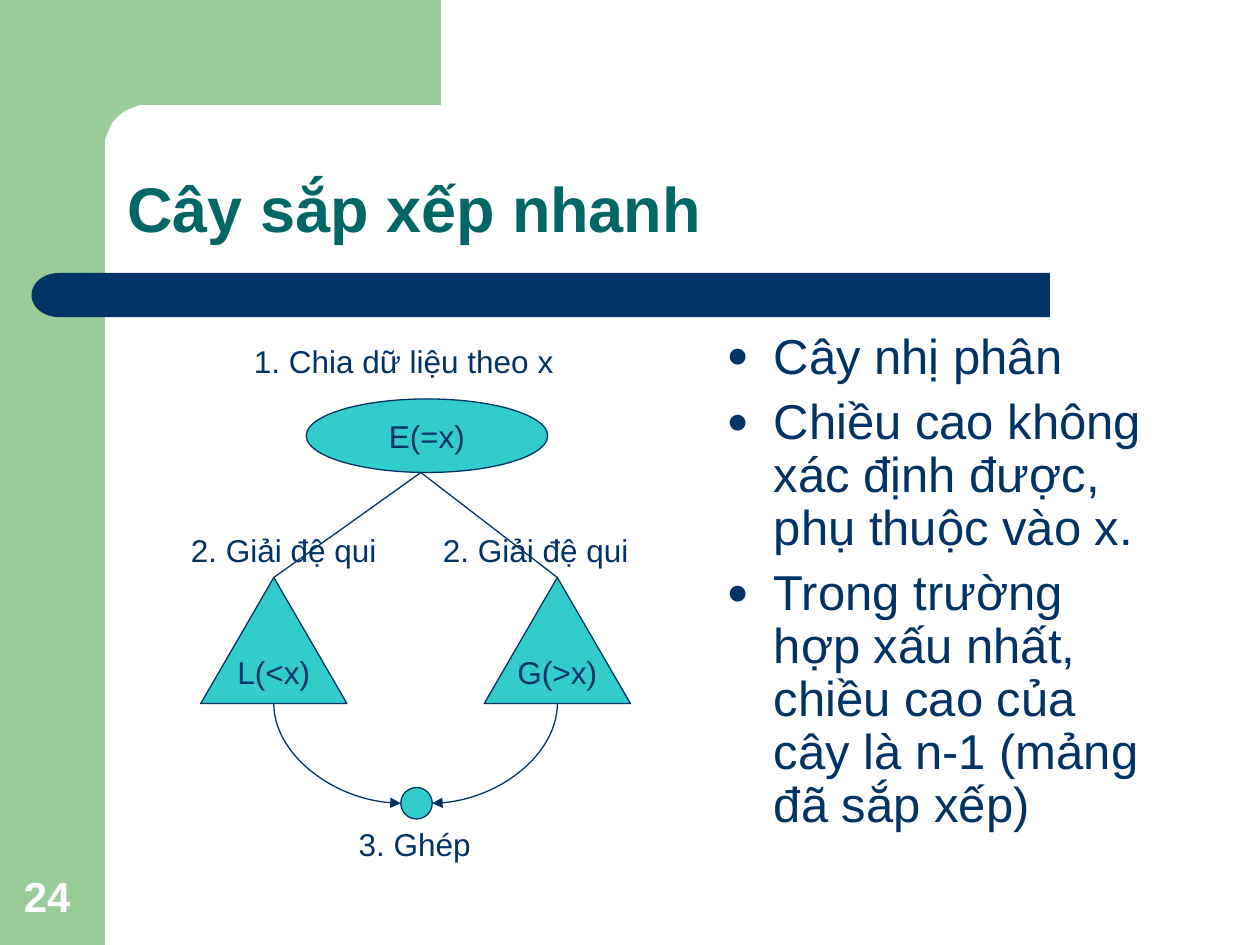
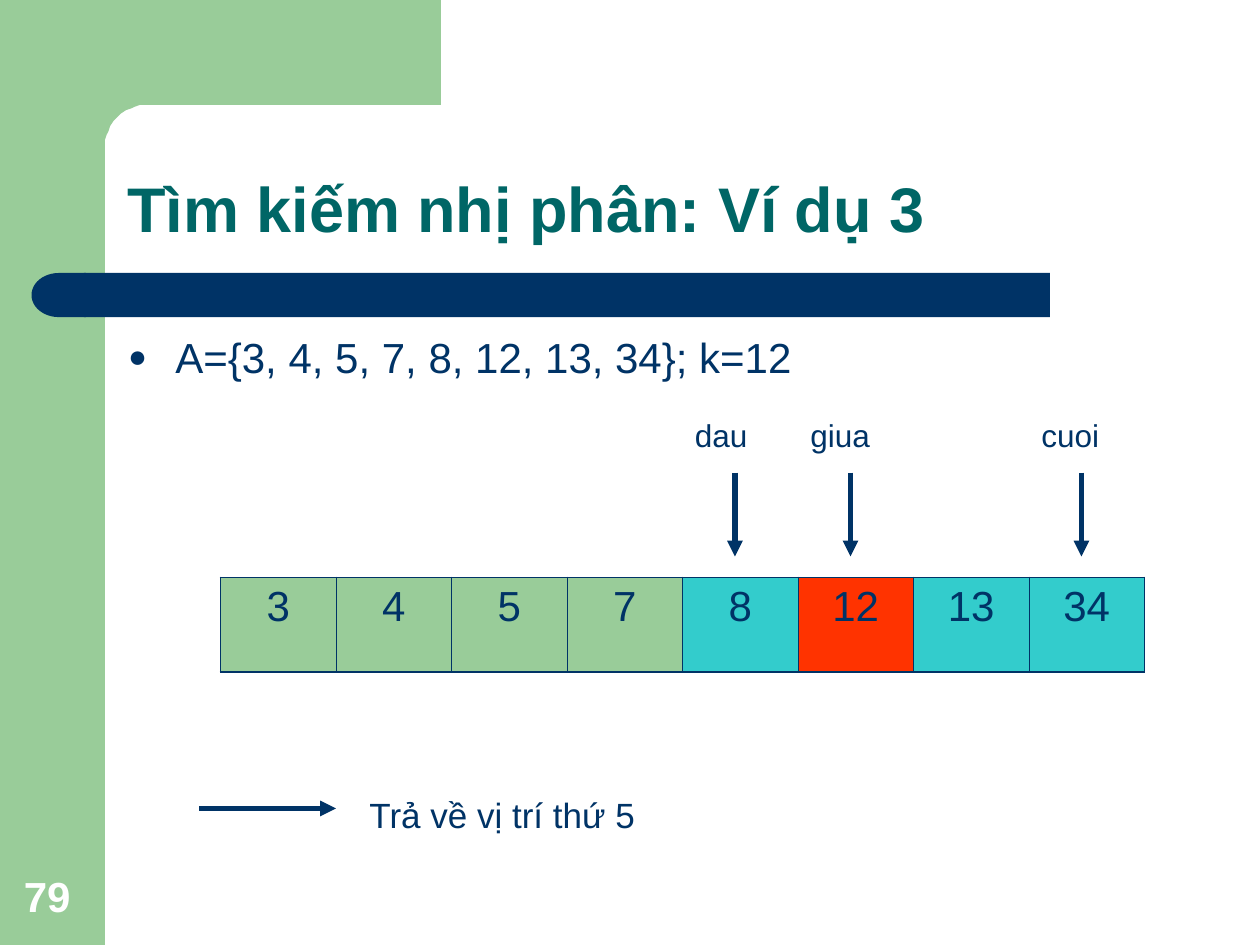
import dataclasses
import math

import lxml.etree
import pptx
import pptx.dml.color
import pptx.enum.shapes
import pptx.enum.text
import pptx.oxml.ns
import pptx.util

Pt = pptx.util.Pt
qn = pptx.oxml.ns.qn
FORM = pptx.enum.shapes.MSO_SHAPE
LINK = pptx.enum.shapes.MSO_CONNECTOR
ALIGN = pptx.enum.text.PP_ALIGN
ANCHOR = pptx.enum.text.MSO_ANCHOR


@dataclasses.dataclass(frozen=True)
class Theme:
    font: str = "Arial"
    navy: str = "003366"
    green: str = "99CC99"
    teal: str = "006666"
    aqua: str = "33CCCC"
    red: str = "FF3300"
    white: str = "FFFFFF"
    title: float = 36
    large: float = 28
    mid: float = 24
    note: float = 20
    small: float = 18
    thin: float = 0.75
    thick: float = 3
    edge: float = 1.08
    inner: float = 0.45


THEME = Theme()


def tint(name):
    return pptx.dml.color.RGBColor.from_string(name)


def write(para, text, size, color=THEME.navy, bold=False, align=ALIGN.LEFT):
    para.alignment = align
    run = para.add_run()
    run.text = text
    run.font.name = THEME.font
    run.font.size = Pt(size)
    run.font.bold = bold
    run.font.color.rgb = tint(color)


def place(shape, box):
    shape.left, shape.top, shape.width, shape.height = map(Pt, box)


def paint(shape, fill, edge=None):
    shape.shadow.inherit = False
    shape.fill.solid()
    shape.fill.fore_color.rgb = tint(fill)
    if edge:
        shape.line.color.rgb = tint(edge)
        shape.line.width = Pt(THEME.thin)
    else:
        shape.line.fill.background()


def block(slide, form, box, fill, edge=None):
    shape = slide.shapes.add_shape(form, *map(Pt, box))
    paint(shape, fill, edge)
    return shape


def node(slide, form, box, text=""):
    shape = block(slide, form, box, THEME.aqua, THEME.navy)
    if text:
        frame = shape.text_frame
        frame.word_wrap = False
        frame.vertical_anchor = ANCHOR.MIDDLE
        write(frame.paragraphs[0], text, THEME.small, align=ALIGN.CENTER)
    return shape


def label(slide, box, text, size=THEME.small, anchor=ANCHOR.TOP, **style):
    frame = slide.shapes.add_textbox(*map(Pt, box)).text_frame
    frame.word_wrap = True
    frame.vertical_anchor = anchor
    write(frame.paragraphs[0], text, size, **style)


def link(slide, start, end, width, kind=LINK.STRAIGHT, tip=None):
    line = slide.shapes.add_connector(kind, *map(Pt, start + end))
    line.line.color.rgb = tint(THEME.navy)
    line.line.width = Pt(width)
    if tip:
        lxml.etree.SubElement(line.line._get_or_add_ln(), qn(tip), type="triangle")
    lxml.etree.SubElement(line.element.spPr, qn("a:effectLst"))
    return line


def curve(slide, start, end, dot, site, tree):
    line = link(slide, start, end, THEME.thin, LINK.CURVE, "a:headEnd")
    line.element.spPr.find(qn("a:prstGeom")).set("prst", "curvedConnector2")
    joint = line.element.find(".//" + qn("p:cNvCxnSpPr"))
    for tag, shape, index in (("a:stCxn", dot, site), ("a:endCxn", tree, 3)):
        lxml.etree.SubElement(joint, qn(tag), id=str(shape.shape_id), idx=str(index))


def bullet(para):
    props = para._p.get_or_add_pPr()
    props.set("marL", str(Pt(27)))
    props.set("indent", str(-Pt(27)))
    color = lxml.etree.SubElement(props, qn("a:buClr"))
    lxml.etree.SubElement(color, qn("a:srgbClr"), val=THEME.navy)
    lxml.etree.SubElement(props, qn("a:buSzPct"), val="75000")
    lxml.etree.SubElement(props, qn("a:buFont"), typeface=THEME.font)
    lxml.etree.SubElement(props, qn("a:buChar"), char="●")


def points(slide, box, items, size, pitch):
    body = slide.placeholders[1]
    place(body, box)
    frame = body.text_frame
    frame.auto_size = pptx.enum.text.MSO_AUTO_SIZE.NONE
    for index, text in enumerate(items):
        para = frame.add_paragraph() if index else frame.paragraphs[0]
        bullet(para)
        para.line_spacing = pitch
        para.space_before = Pt(7 if index else 0)
        write(para, text, size)


def corner(slide):
    mid, reach = 83.5, 23.5
    turns = [math.radians(270 - 7.5 * step) for step in range(13)]
    arc = [(mid + reach * math.cos(turn), mid + reach * math.sin(turn)) for turn in turns]
    path = [(252, 0), (252, 60)] + arc + [(60, 92), (36, 92), (36, 0)]
    maker = slide.shapes.build_freeform(*path[0], scale=Pt(1))
    maker.add_line_segments(path[1:])
    shape = maker.convert_to_shape()
    paint(shape, THEME.green)
    return shape


def adorn(slide):
    cap = block(slide, FORM.FLOWCHART_DELAY, (18, 156, 31, 25.2), THEME.navy)
    cap.rotation = 180
    parts = [
        block(slide, FORM.RECTANGLE, (0, 0, 60, 540), THEME.green),
        corner(slide),
        block(slide, FORM.RECTANGLE, (48, 156, 552, 25.2), THEME.navy),
        cap,
    ]
    tree = slide.slide_layout.shapes.element
    for index, part in enumerate(parts):
        part.element.nvSpPr.cNvPr.set("id", str(20 + index))
        tree.insert(2 + index, part.element)


def start(deck, title, number):
    slide = deck.slides.add_slide(deck.slide_layouts[1])
    head = slide.shapes.title
    place(head, (65.5, 65.5, 613, 78.5))
    frame = head.text_frame
    frame.auto_size = pptx.enum.text.MSO_AUTO_SIZE.NONE
    frame.vertical_anchor = ANCHOR.BOTTOM
    frame.paragraphs[0].line_spacing = 0.9
    write(frame.paragraphs[0], title, THEME.title, THEME.teal, True)
    label(slide, (6.5, 492, 46, 38), number, THEME.mid, ANCHOR.BOTTOM,
          color=THEME.white, bold=True)
    return slide


def strip(slide, box, items):
    frame = slide.shapes.add_table(1, len(items), *map(Pt, box))
    table = frame.table
    table.first_row = table.horz_banding = False
    for cell, (text, fill) in zip(table.iter_cells(), items):
        cell.fill.solid()
        cell.fill.fore_color.rgb = tint(fill)
        write(cell.text_frame.paragraphs[0], text, THEME.mid, align=ALIGN.CENTER)
    last = len(items) - 1
    for index, props in enumerate(frame.element.iter(qn("a:tcPr"))):
        sides = {
            "a:lnL": THEME.inner if index else THEME.edge,
            "a:lnR": THEME.inner if index < last else THEME.edge,
            "a:lnT": THEME.edge,
            "a:lnB": THEME.edge,
        }
        for order, (tag, width) in enumerate(sides.items()):
            line = lxml.etree.Element(qn(tag), w=str(Pt(width)))
            fill = lxml.etree.SubElement(line, qn("a:solidFill"))
            lxml.etree.SubElement(fill, qn("a:srgbClr"), val=THEME.navy)
            props.insert(order, line)


def sort(deck):
    slide = start(deck, "Cây sắp xếp nhanh", "24")
    points(slide, (408, 186, 263.5, 293), [
        "Cây nhị phân",
        "Chiều cao không xác định được, phụ thuộc vào x.",
        "Trong trường hợp xấu nhất, chiều cao của cây là n-1 (mảng đã sắp xếp)",
    ], THEME.large, 0.9)
    node(slide, FORM.OVAL, (175, 228, 138, 42), "E(=x)")
    dot = node(slide, FORM.OVAL, (229, 450, 18, 18))
    for text, apex, side, site in (("L(<x)", 156.5, 229, 2), ("G(>x)", 318.5, 247, 6)):
        link(slide, (240.5, 270), (apex, 330), THEME.thin)
        tree = node(slide, FORM.ISOSCELES_TRIANGLE, (apex - 41.75, 330, 83.5, 72), text)
        curve(slide, (side, 459), (apex, 402), dot, site, tree)
    label(slide, (138, 192, 192, 29), "1. Chia dữ liệu theo x")
    for left in (102, 246):
        label(slide, (left, 300, 126, 29), "2. Giải đệ qui")
    label(slide, (174, 468, 126, 29), "3. Ghép", align=ALIGN.CENTER)
    return slide


def search(deck):
    slide = start(deck, "Tìm kiếm nhị phân: Ví dụ 3", "79")
    points(slide, (66, 186, 630, 54), ["A={3, 4, 5, 7, 8, 12, 13, 34}; k=12"],
           THEME.mid, 1)
    left, wide = 126, 66
    items = [(text, THEME.green) for text in ("3", "4", "5", "7")]
    items += [("8", THEME.aqua), ("12", THEME.red), ("13", THEME.aqua), ("34", THEME.aqua)]
    strip(slide, (left, 330, wide * len(items), 54), items)
    for text, index in (("dau", 4), ("giua", 5), ("cuoi", 7)):
        edge = left + wide * index
        link(slide, (edge + 30, 270), (edge + 30, 318), THEME.thick, tip="a:tailEnd")
        label(slide, (edge, 234, 84, 29), text)
    link(slide, (114, 462), (192, 462), THEME.thick, tip="a:tailEnd")
    label(slide, (204, 450, 198, 32), "Trả về vị trí thứ 5", THEME.note)


def main():
    deck = pptx.Presentation()
    deck.slide_width, deck.slide_height = Pt(720), Pt(540)
    adorn(sort(deck))
    search(deck)
    deck.save("out.pptx")


if __name__ == "__main__":
    main()
